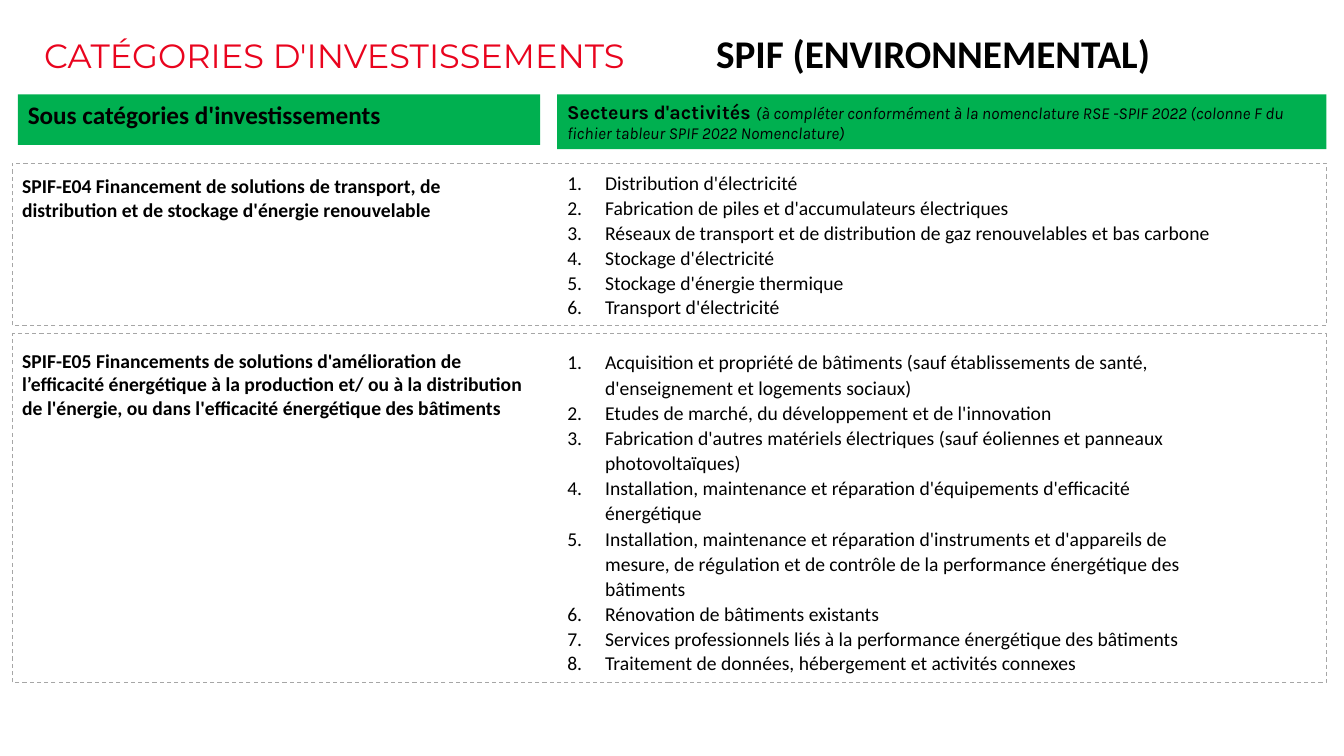
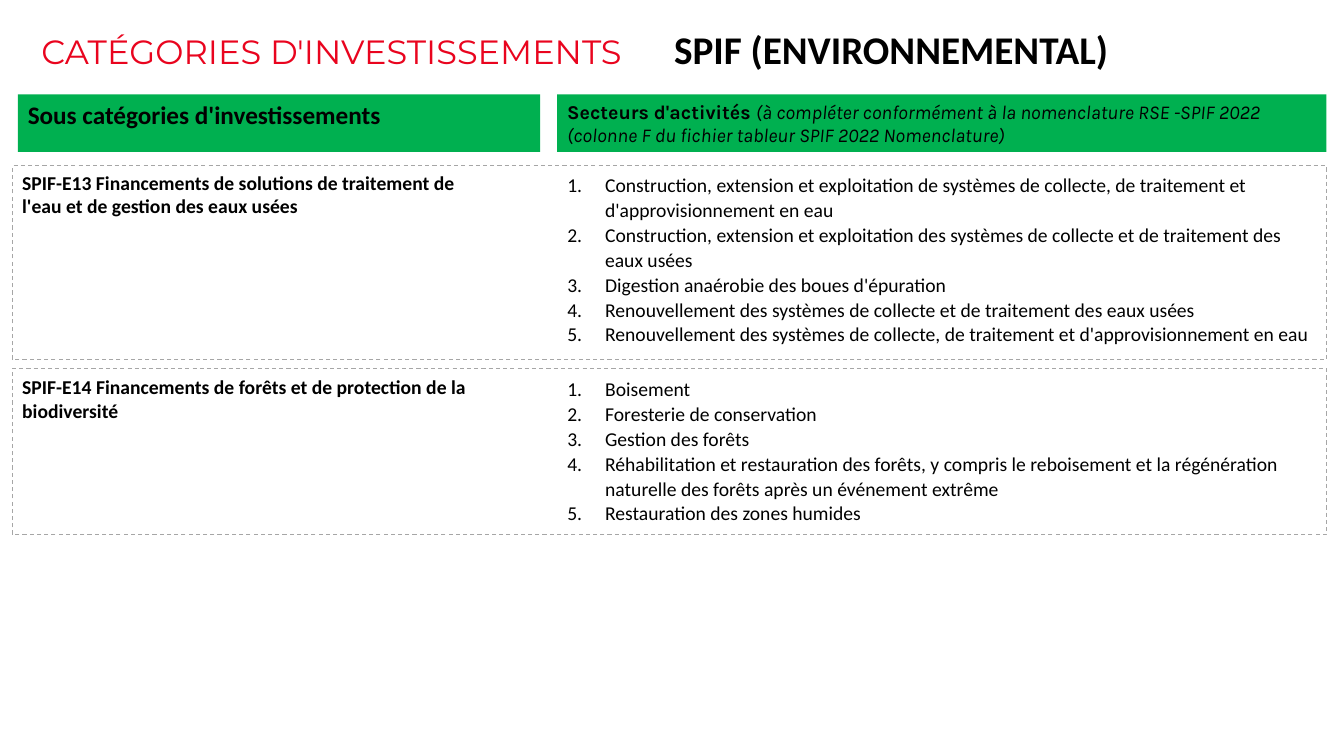
from collections import namedtuple

from lxml.etree import SubElement
from pptx import Presentation
from pptx.dml.color import RGBColor
from pptx.enum.dml import MSO_LINE
from pptx.enum.shapes import MSO_SHAPE
from pptx.enum.text import MSO_ANCHOR, MSO_AUTO_SIZE, PP_ALIGN
from pptx.oxml.ns import qn
from pptx.util import Pt

RED = RGBColor(0xE9, 0x04, 0x1E)
GREEN = RGBColor(0x00, 0xB0, 0x50)
GREY = RGBColor(0xA6, 0xA6, 0xA6)
BLACK = RGBColor(0x00, 0x00, 0x00)
INK = RGBColor(0x01, 0x01, 0x01)

TITLE_RED = {"name": "Montserrat", "size": Pt(24), "bold": False, "color": RED}
TITLE_BLACK = {"name": "Calibri", "size": Pt(28), "bold": True, "color": BLACK}
BAND = {"name": "Calibri", "size": Pt(18), "bold": True, "color": INK}
SECTOR = {"name": "Karla", "size": Pt(14), "bold": True, "color": INK}
HEADING = {"name": "Calibri", "size": Pt(14), "bold": True, "color": BLACK}
ITEM = {"name": "Calibri", "size": Pt(14), "bold": False, "color": BLACK}

FRAME_LEFT, FRAME_WIDTH, FRAME_GAP = 8.75, 938.75, 6
LIST_OFFSET, LIST_INDENT = 389.25, 27
BAND_TOP = 67.5
LEFT_BAND, LEFT_BAND_WIDTH = 12.75, 373
RIGHT_BAND, RIGHT_BAND_WIDTH = 398, 549.5

Box = namedtuple("Box", "left top width height")
Category = namedtuple("Category", "heading items height heading_drop list_drop heading_width list_width")
Page = namedtuple("Page", "title_left title_top title_tab band_heights note_size first_top categories")

PAGES = [
    Page(31.5, 27.5, 480, (36, 39), 12, 116.5, [
        Category(
            "SPIF-E04 Financement de solutions de transport, de distribution et de stockage d'énergie renouvelable",
            ["Distribution d'électricité",
             "Fabrication de piles et d'accumulateurs électriques",
             "Réseaux de transport et de distribution de gaz renouvelables et bas carbone",
             "Stockage d'électricité",
             "Stockage d'énergie thermique",
             "Transport d'électricité"],
            116, 4.5, 0.5, 346, 549.5),
        Category(
            "SPIF-E05 Financements de solutions d'amélioration de l’efficacité énergétique à la production "
            "et/ ou à la distribution de l'énergie, ou dans l'efficacité énergétique des bâtiments",
            ["Acquisition et propriété de bâtiments (sauf établissements de santé, d'enseignement et logements sociaux)",
             "Etudes de marché, du développement et de l'innovation",
             "Fabrication d'autres matériels électriques (sauf éoliennes et panneaux photovoltaïques)",
             "Installation, maintenance et réparation d'équipements d'efficacité énergétique",
             "Installation, maintenance et réparation d'instruments et d'appareils de mesure, "
             "de régulation et de contrôle de la performance énergétique des bâtiments",
             "Rénovation de bâtiments existants",
             "Services professionnels liés à la performance énergétique des bâtiments",
             "Traitement de données, hébergement et activités connexes"],
            249, 7, 7, 373, 480),
    ]),
    Page(29.5, 24.5, 452, (41, 41), 14, 118.5, [
        Category(
            "SPIF-E13 Financements de solutions de traitement de l'eau et de gestion des eaux usées",
            ["Construction, extension et exploitation de systèmes de collecte, de traitement et d'approvisionnement en eau",
             "Construction, extension et exploitation des systèmes de collecte et de traitement des eaux usées",
             "Digestion anaérobie des boues d'épuration",
             "Renouvellement des systèmes de collecte et de traitement des eaux usées",
             "Renouvellement des systèmes de collecte, de traitement et d'approvisionnement en eau"],
            138.5, 0, 0, 346, 549.5),
        Category(
            "SPIF-E14 Financements de forêts et de protection de la biodiversité",
            ["Boisement",
             "Foresterie de conservation",
             "Gestion des forêts",
             "Réhabilitation et restauration des forêts, y compris le reboisement et la régénération "
             "naturelle des forêts après un événement extrême",
             "Restauration des zones humides"],
            119, 1.25, 1.25, 373, 530.5),
    ]),
]


def place(shape, box):
    """Move and size a shape to a box given in points."""
    for side, value in box._asdict().items():
        setattr(shape, side, Pt(value))


def add_span(para, text, look):
    """Append a run formatted from a dict of font values."""
    span = para.add_run()
    span.text = text
    for key, value in look.items():
        if key == "color":
            span.font.color.rgb = value
        else:
            setattr(span.font, key, value)


def add_rectangle(page, box):
    """Add a plain rectangle without shadow, fill or line."""
    rectangle = page.shapes.add_shape(MSO_SHAPE.RECTANGLE, *map(Pt, box))
    rectangle.shadow.inherit = False
    rectangle.fill.background()
    rectangle.line.fill.background()
    return rectangle


def add_title(page, box, tab):
    """Fill the title placeholder with its two parts, split by a tab stop."""
    title = page.shapes.title
    place(title, box)
    frame = title.text_frame
    settings = {"margin_left": 0, "margin_top": 0, "margin_right": 0, "margin_bottom": 0,
                "word_wrap": True, "vertical_anchor": MSO_ANCHOR.BOTTOM,
                "auto_size": MSO_AUTO_SIZE.SHAPE_TO_FIT_TEXT}
    for key, value in settings.items():
        setattr(frame, key, value)
    para = frame.paragraphs[0]
    para.alignment = PP_ALIGN.LEFT
    para.line_spacing = 0.75
    stops = SubElement(para._p.get_or_add_pPr(), qn("a:tabLst"))
    SubElement(stops, qn("a:tab"), pos=str(Pt(tab)), algn="l")
    add_span(para, "CATÉGORIES D'INVESTISSEMENTS\t", TITLE_RED)
    add_span(para, "SPIF (ENVIRONNEMENTAL)", TITLE_BLACK)


def add_band(page, box, spans):
    """Add a green column header holding the given runs."""
    band = add_rectangle(page, box)
    band.fill.solid()
    band.fill.fore_color.rgb = GREEN
    band.text_frame.word_wrap = True
    band.text_frame.vertical_anchor = MSO_ANCHOR.TOP
    para = band.text_frame.paragraphs[0]
    para.alignment = PP_ALIGN.LEFT
    for text, look in spans:
        add_span(para, text, look)


def fill_list(body, box, items):
    """Turn a body placeholder into a numbered list."""
    place(body, box)
    frame = body.text_frame
    frame.auto_size = MSO_AUTO_SIZE.NONE
    for index, item in enumerate(items):
        para = frame.paragraphs[0] if index == 0 else frame.add_paragraph()
        para.space_before = Pt(0)
        para.line_spacing = 1.07 if index < len(items) - 1 else 1.0
        properties = para._p.get_or_add_pPr()
        properties.set("marL", str(Pt(LIST_INDENT)))
        properties.set("indent", str(-Pt(LIST_INDENT)))
        SubElement(properties, qn("a:buFont"), typeface="+mj-lt")
        SubElement(properties, qn("a:buAutoNum"), type="arabicPeriod")
        add_span(para, item, ITEM)


def add_category(page, body, box, category):
    """Add a dashed frame with its heading and numbered sectors."""
    outline = add_rectangle(page, box)
    outline.line.color.rgb = GREY
    outline.line.width = Pt(0.75)
    outline.line.dash_style = MSO_LINE.DASH
    heading = page.shapes.add_textbox(
        Pt(box.left), Pt(box.top + category.heading_drop), Pt(category.heading_width), Pt(41))
    heading.text_frame.word_wrap = True
    add_span(heading.text_frame.paragraphs[0], category.heading, HEADING)
    list_box = Box(box.left + LIST_OFFSET, box.top + category.list_drop,
                   category.list_width, box.height - category.list_drop)
    fill_list(body, list_box, category.items)


def add_page(deck, content):
    """Add a slide with a title, two column headers and its categories."""
    page = deck.slides.add_slide(deck.slide_layouts[3])
    add_title(page, Box(content.title_left, content.title_top, 897, 26.5), content.title_tab)
    left_height, right_height = content.band_heights
    add_band(page, Box(LEFT_BAND, BAND_TOP, LEFT_BAND_WIDTH, left_height),
             [("Sous catégories d'investissements", BAND)])
    note = {**SECTOR, "size": Pt(content.note_size), "bold": False, "italic": True}
    add_band(page, Box(RIGHT_BAND, BAND_TOP, RIGHT_BAND_WIDTH, right_height), [
        ("Secteurs d'activités ", SECTOR),
        ("(à compléter conformément à la nomenclature RSE -SPIF 2022 "
         "(colonne F du fichier tableur SPIF 2022 Nomenclature)", note),
    ])
    bodies = [page.placeholders[1], page.placeholders[2]]
    top = content.first_top
    for body, category in zip(bodies, content.categories):
        add_category(page, body, Box(FRAME_LEFT, top, FRAME_WIDTH, category.height), category)
        top += category.height + FRAME_GAP


def main():
    """Build and save the deck."""
    deck = Presentation()
    deck.slide_width, deck.slide_height = Pt(960), Pt(540)
    for content in PAGES:
        add_page(deck, content)
    deck.save("out.pptx")


if __name__ == "__main__":
    main()
